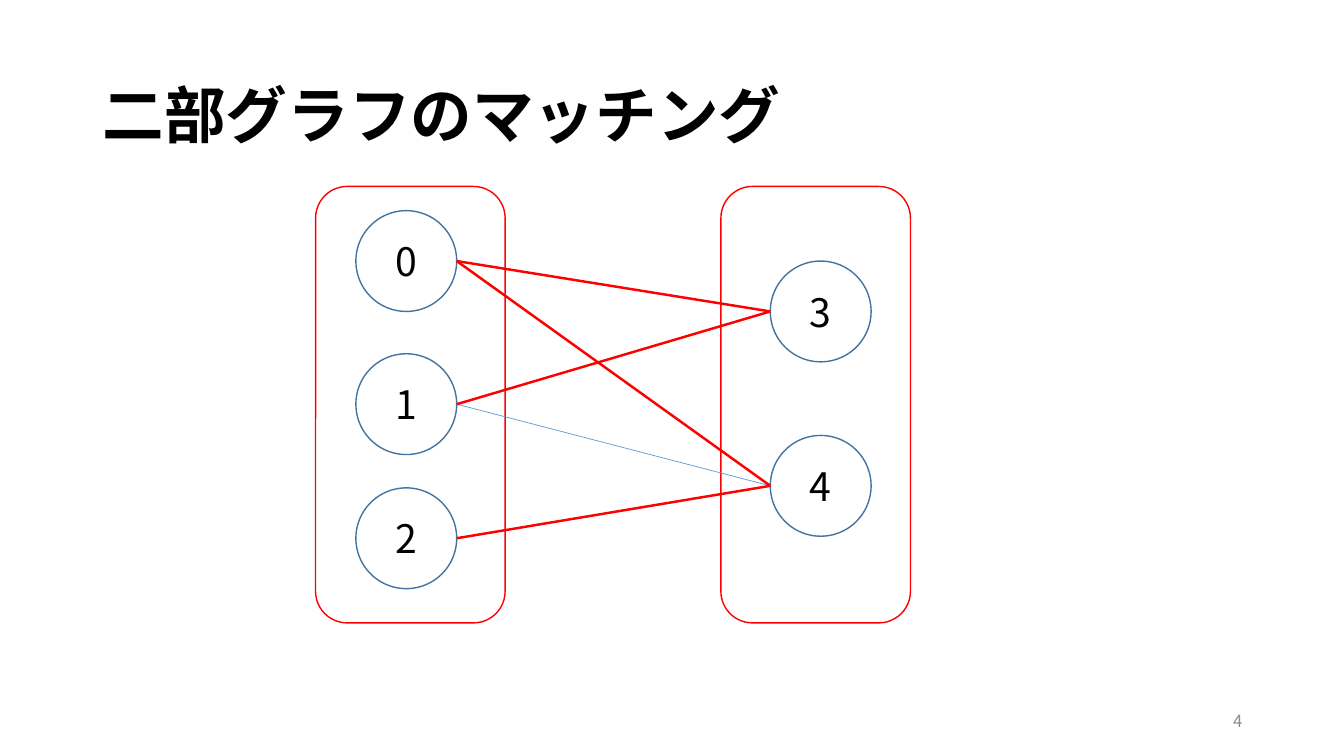
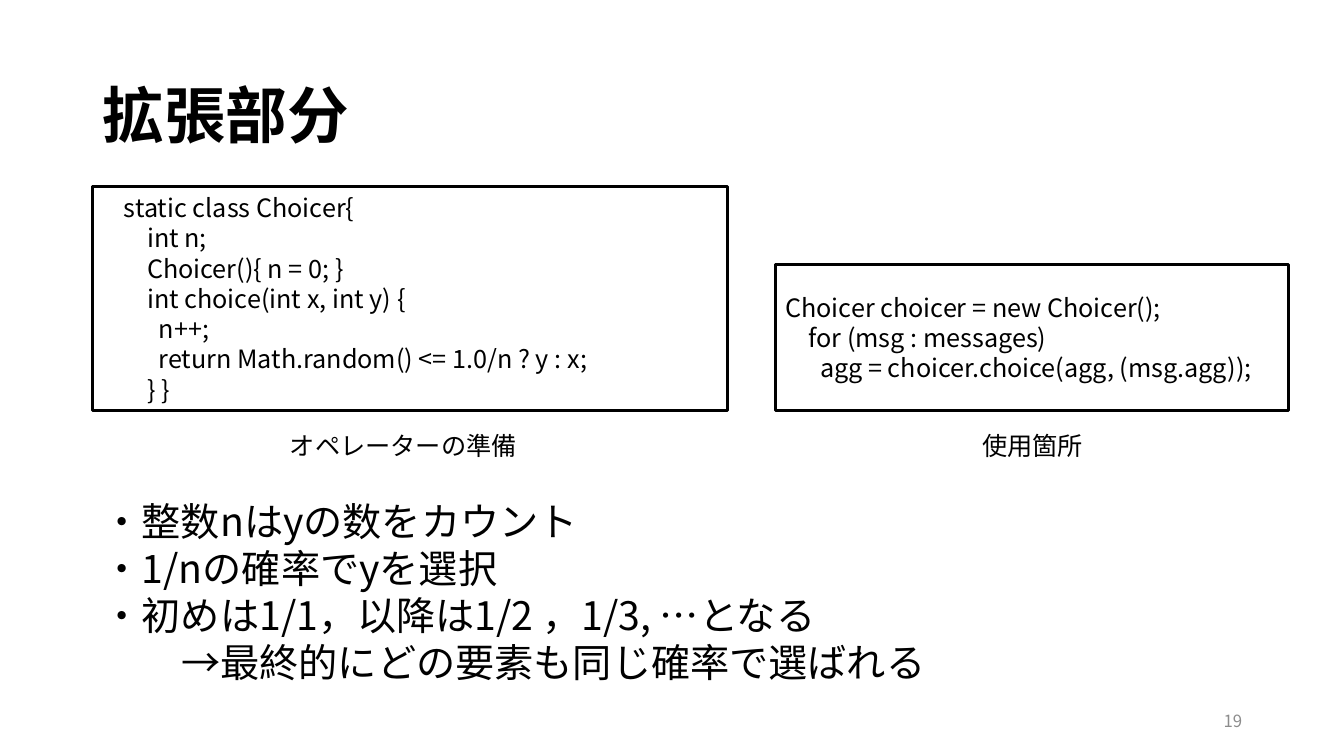
from dataclasses import dataclass

from lxml import etree
from pptx import Presentation
from pptx.dml.color import RGBColor
from pptx.enum.shapes import MSO_CONNECTOR, MSO_SHAPE
from pptx.enum.text import MSO_ANCHOR, PP_ALIGN
from pptx.oxml.ns import qn
from pptx.util import Inches, Pt

LEFT, CENTER, RIGHT = PP_ALIGN.LEFT, PP_ALIGN.CENTER, PP_ALIGN.RIGHT
MIDDLE, TOP = MSO_ANCHOR.MIDDLE, MSO_ANCHOR.TOP
RECTANGLE, ROUNDED, OVAL = MSO_SHAPE.RECTANGLE, MSO_SHAPE.ROUNDED_RECTANGLE, MSO_SHAPE.OVAL
STRAIGHT = MSO_CONNECTOR.STRAIGHT


@dataclass(frozen=True)
class Theme:
    font: str = "Noto Sans CJK JP"
    ink: str = "000000"
    muted: str = "8C8C8C"
    node: str = "43739E"
    edge: str = "5B9BD5"
    accent: str = "FF0000"
    title_size: int = 44
    body_size: int = 28
    code_size: int = 18
    number_size: int = 12
    leading: float = 1.2


THEME = Theme()

# Content: bipartite graph
GRAPH_TITLE, GRAPH_NUMBER = "二部グラフのマッチング", 4
FRAME_LEFTS = (3.13, 7.15)
FRAME_TOP, FRAME_WIDTH, FRAME_HEIGHT = 1.85, 1.88, 4.33
NODE_SIZE = 1
NODES = {  # number: (left, top)
    0: (3.53, 2.09),
    1: (3.53, 3.51),
    2: (3.53, 4.84),
    3: (7.64, 2.59),
    4: (7.64, 4.32),
}
EDGES = [(0, 3), (1, 3), (1, 4), (0, 4), (2, 4)]
HIGHLIGHTED_EDGES = [(0, 3), (2, 4), (0, 4), (1, 3)]

# Content: code extension; every line is (indent level, text)
CODE_TITLE, CODE_NUMBER = "拡張部分", 19
INDENT_STEP = 0.115
CODE_BLOCKS = [  # box, left inset, caption, caption centre, lines
    ((0.92, 1.85, 6.3, 2.22), 0.31, "オペレーターの準備", 4.0, [
        (0, "static class Choicer{"),
        (2, "int n;"),
        (2, "Choicer(){ n = 0; }"),
        (2, "int choice(int x, int y) {"),
        (3, "n++;"),
        (3, "return Math.random() <= 1.0/n ? y : x;"),
        (2, "} }"),
    ]),
    ((7.69, 2.62, 5.09, 1.45), 0.1, "使用箇所", 10.24, [
        (0, "Choicer choicer = new Choicer();"),
        (2, "for (msg : messages)"),
        (3, "agg = choicer.choice(agg, (msg.agg));"),
    ]),
]
CAPTION_TOP, CAPTION_WIDTH, CAPTION_HEIGHT = 4.22, 3, 0.4
NOTES_BOX = (0.92, 4.88, 8.58, 1.99)
NOTES_INDENT = 0.78
NOTES = [
    (0, "・整数nはyの数をカウント"),
    (0, "・1/nの確率でyを選択"),
    (0, "・初めは1/1，以降は1/2 ，1/3, …となる"),
    (1, "→最終的にどの要素も同じ確率で選ばれる"),
]


# Drawing helpers
def color(value):
    return RGBColor.from_string(value)


def write(shape, lines, size, ink=THEME.ink, align=LEFT, anchor=MIDDLE,
          bold=False, left_inset=0.1, step=0):
    frame = shape.text_frame
    frame.word_wrap = True
    frame.vertical_anchor = anchor
    frame.margin_left = Inches(left_inset)
    for index, (level, text) in enumerate(lines):
        paragraph = frame.add_paragraph() if index else frame.paragraphs[0]
        paragraph.text = text
        paragraph.alignment = align
        paragraph.line_spacing = Pt(size * THEME.leading)
        font = paragraph.font
        font.name, font.size, font.bold = THEME.font, Pt(size), bold
        font.color.rgb = color(ink)
        properties = paragraph._p.get_or_add_pPr()
        if level:
            properties.set("marL", str(Inches(level * step)))
            properties.set("indent", "0")
        east_asian = etree.SubElement(properties.find(qn("a:defRPr")), qn("a:ea"))
        east_asian.set("typeface", THEME.font)


def add_text(slide, box, lines, size, **style):
    write(slide.shapes.add_textbox(*map(Inches, box)), lines, size, **style)


def add_outline(slide, kind, box, line_color, width):
    shape = slide.shapes.add_shape(kind, *map(Inches, box))
    shape.shadow.inherit = False
    shape.fill.background()
    shape.line.color.rgb = color(line_color)
    shape.line.width = Pt(width)
    return shape


def add_edge(slide, start, end, line_color, width):
    (start_left, start_top), (end_left, end_top) = NODES[start], NODES[end]
    points = (start_left + NODE_SIZE, start_top + NODE_SIZE / 2,
              end_left, end_top + NODE_SIZE / 2)
    connector = slide.shapes.add_connector(STRAIGHT, *map(Inches, points))
    connector.line.color.rgb = color(line_color)
    connector.line.width = Pt(width)
    etree.SubElement(connector._element.spPr, qn("a:effectLst"))


def add_slide(presentation, title, number):
    slide = presentation.slides.add_slide(presentation.slide_layouts[6])
    add_text(slide, (0.92, 0.4, 11.5, 1.45), [(0, title)], THEME.title_size, bold=True)
    add_text(slide, (9.42, 6.95, 3, 0.4), [(0, str(number))], THEME.number_size,
             ink=THEME.muted, align=RIGHT)
    return slide


presentation = Presentation()
presentation.slide_width, presentation.slide_height = Inches(13.33), Inches(7.5)

# Bipartite graph
slide = add_slide(presentation, GRAPH_TITLE, GRAPH_NUMBER)
for left in FRAME_LEFTS:
    add_outline(slide, ROUNDED, (left, FRAME_TOP, FRAME_WIDTH, FRAME_HEIGHT), THEME.accent, 1)
for number, (left, top) in NODES.items():
    node = add_outline(slide, OVAL, (left, top, NODE_SIZE, NODE_SIZE), THEME.node, 1)
    write(node, [(0, str(number))], THEME.body_size, align=CENTER)
for edges, line_color, width in ((EDGES, THEME.edge, 0.5),
                                 (HIGHLIGHTED_EDGES, THEME.accent, 1.75)):
    for start, end in edges:
        add_edge(slide, start, end, line_color, width)

# Code extension
slide = add_slide(presentation, CODE_TITLE, CODE_NUMBER)
for box, inset, caption, caption_center, lines in CODE_BLOCKS:
    code_box = add_outline(slide, RECTANGLE, box, THEME.ink, 2)
    write(code_box, lines, THEME.code_size, left_inset=inset, step=INDENT_STEP)
    caption_box = (caption_center - CAPTION_WIDTH / 2, CAPTION_TOP,
                   CAPTION_WIDTH, CAPTION_HEIGHT)
    add_text(slide, caption_box, [(0, caption)], THEME.code_size, align=CENTER)
add_text(slide, NOTES_BOX, NOTES, THEME.body_size, anchor=TOP, step=NOTES_INDENT)

presentation.save("out.pptx")
